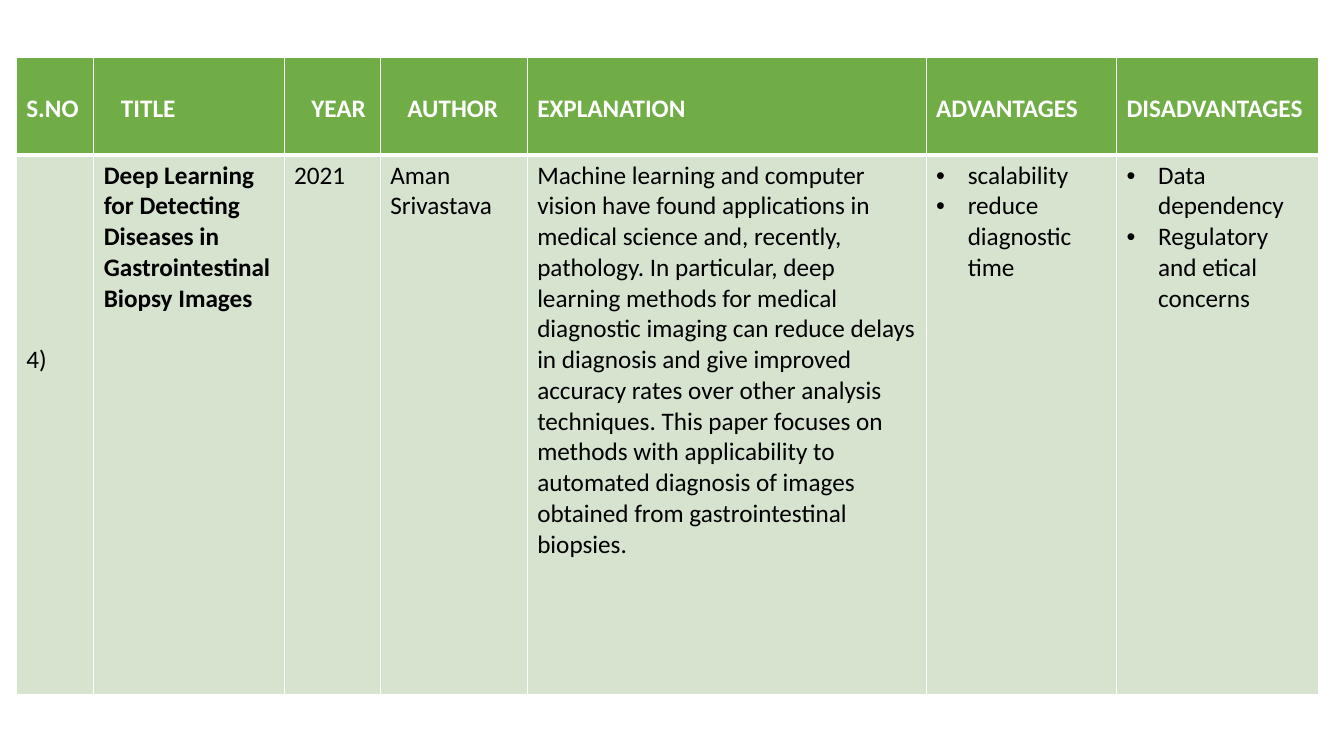
from lxml import etree
from pptx import Presentation
from pptx import util as u
from pptx.dml.color import RGBColor
from pptx.enum import text
from pptx.oxml import ns

COLORS = {"header": "70AD47", "body": "D5E3CF", "line": "FFFFFF",
          "header_text": "FFFFFF", "body_text": "000000"}
FONT, SIZE, LINE_HEIGHT = "Calibri", 18, 22
MARGIN_X, MARGIN_Y = 7.2, 3.6
HEADER_INDENT = 12.2
BULLET_INDENT = 22.5
THIN, THICK = 1, 3

# Heading, column width, heading indent
COLUMNS = [
    ("S.NO", 55.4, 0),
    ("TITLE", 136, HEADER_INDENT),
    ("YEAR", 68.6, HEADER_INDENT),
    ("AUTHOR", 105, HEADER_INDENT),
    ("EXPLANATION", 285, 0),
    ("ADVANTAGES", 136, 0),
    ("DISADVANTAGES", 144, 0),
]
ROW_HEIGHTS = [69.8, 385.6]

# Paragraphs of each cell, with formatting that differs from plain text
PAPER = [
    (["4)"], {"lines_down": 6}),
    (["Deep Learning for Detecting Diseases in Gastrointestinal Biopsy Images"],
     {"bold": True}),
    (["2021"], {}),
    (["Aman Srivastava"], {}),
    (["Machine learning and computer vision have found applications in medical "
      "science and, recently, pathology. In particular, deep learning methods for "
      "medical diagnostic imaging can reduce delays in diagnosis and give improved "
      "accuracy rates over other analysis techniques. This paper focuses on methods "
      "with applicability to automated diagnosis of images obtained from "
      "gastrointestinal biopsies."], {}),
    (["scalability", "reduce diagnostic time"], {"bullets": True}),
    (["Data dependency", "Regulatory and etical concerns"], {"bullets": True}),
]


def add_borders(cell, top, bottom):
    properties = cell._tc.get_or_add_tcPr()
    for side, width in (("L", THIN), ("R", THIN), ("T", top), ("B", bottom)):
        line = etree.SubElement(properties, ns.qn("a:ln" + side), w=str(u.Pt(width)))
        fill = etree.SubElement(line, ns.qn("a:solidFill"))
        etree.SubElement(fill, ns.qn("a:srgbClr"), val=COLORS["line"])


def add_bullet(paragraph):
    properties = paragraph._p.get_or_add_pPr()
    properties.set("marL", str(u.Pt(BULLET_INDENT)))
    properties.set("indent", str(-u.Pt(BULLET_INDENT)))
    etree.SubElement(properties, ns.qn("a:buFont"), typeface="Arial")
    etree.SubElement(properties, ns.qn("a:buChar"), char="•")


def fill_cell(cell, lines, kind, bold=False, bullets=False, lines_down=0, indent=0):
    # Borders precede the fill in the cell properties
    is_header = kind == "header"
    add_borders(cell, THIN if is_header else THICK, THICK if is_header else THIN)
    cell.fill.solid()
    cell.fill.fore_color.rgb = RGBColor.from_string(COLORS[kind])
    cell.vertical_anchor = text.MSO_ANCHOR.TOP
    cell.margin_left = u.Pt(MARGIN_X + indent)
    cell.margin_right = u.Pt(MARGIN_X)
    cell.margin_top = u.Pt(MARGIN_Y + lines_down * LINE_HEIGHT)
    cell.margin_bottom = u.Pt(MARGIN_Y)

    cell.text_frame.text = "\n".join(lines)
    for paragraph in cell.text_frame.paragraphs:
        if bullets:
            add_bullet(paragraph)
        font = paragraph.font
        font.name, font.size, font.bold = FONT, u.Pt(SIZE), bold
        font.color.rgb = RGBColor.from_string(COLORS[kind + "_text"])


def add_survey_table(slide, left, top):
    width = sum(column_width for _, column_width, _ in COLUMNS)
    frame = slide.shapes.add_table(len(ROW_HEIGHTS), len(COLUMNS), u.Pt(left),
                                   u.Pt(top), u.Pt(width), u.Pt(sum(ROW_HEIGHTS)))
    table = frame.table
    table.horz_banding = False
    for row, height in zip(table.rows, ROW_HEIGHTS):
        row.height = u.Pt(height)
    for index, (heading, column_width, indent) in enumerate(COLUMNS):
        table.columns[index].width = u.Pt(column_width)
        fill_cell(table.cell(0, index), [heading], "header",
                  bold=True, lines_down=1, indent=indent)
        lines, formatting = PAPER[index]
        fill_cell(table.cell(1, index), lines, "body", **formatting)


def main():
    presentation = Presentation()
    presentation.slide_width, presentation.slide_height = u.Pt(960), u.Pt(540)
    slide = presentation.slides.add_slide(presentation.slide_layouts[6])
    add_survey_table(slide, 11.6, 41)
    presentation.save("out.pptx")


if __name__ == "__main__":
    main()
